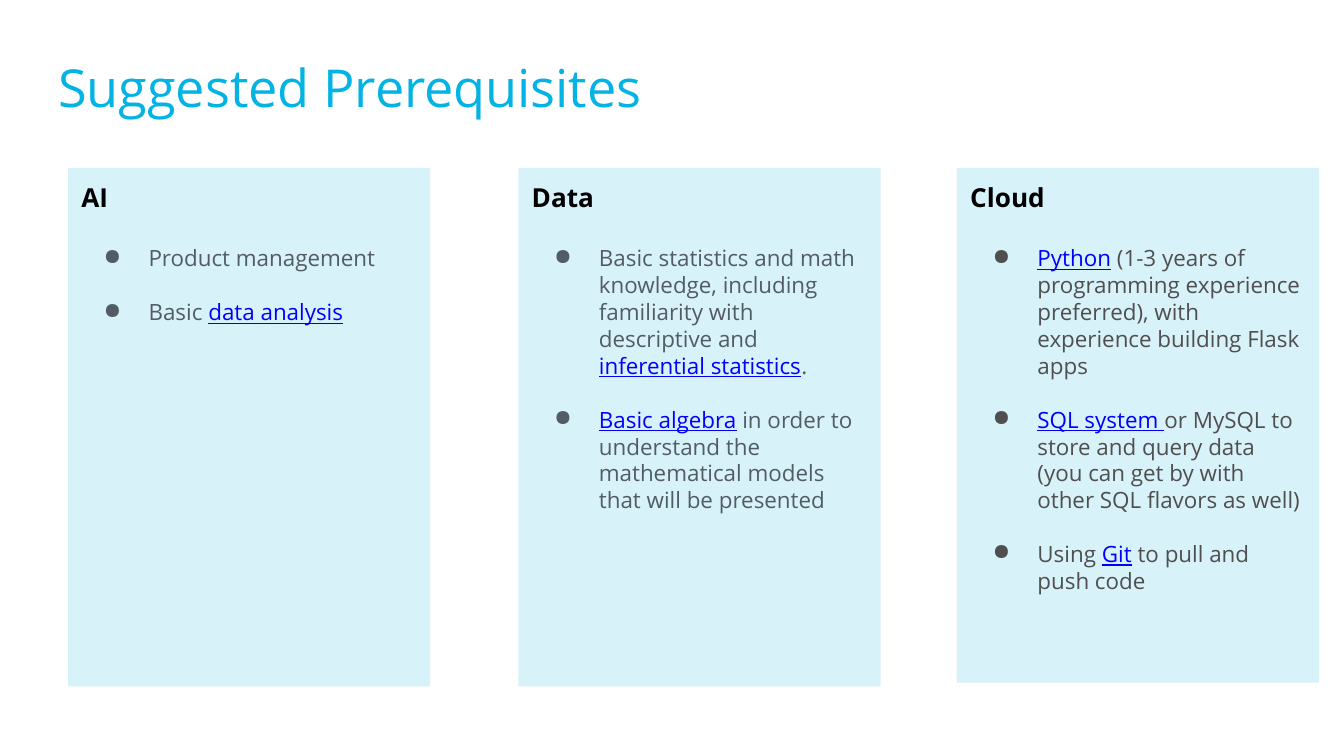
from lxml import etree
from pptx import Presentation
from pptx.dml.color import RGBColor
from pptx.enum.shapes import MSO_SHAPE
from pptx.enum.text import MSO_ANCHOR, PP_ALIGN
from pptx.oxml.ns import qn
from pptx.util import Pt

RECTANGLE = MSO_SHAPE.RECTANGLE
TOP = MSO_ANCHOR.TOP
LEFT = PP_ALIGN.LEFT

THEME = {
    "font": "Open Sans",
    "title": {"size": 28, "color": "02B3E4"},
    "heading": {"size": 14, "color": "000000", "bold": True},
    "slate": {"size": 12, "color": "525C65", "bold": False},
    "gray": {"size": 12, "color": "4F4F4F", "bold": False},
    "link": {"size": 12, "color": "0000FF", "bold": False, "underline": True},
    "card": "91DAEE",
    "card_opacity": 35,
}


def add_run(paragraph, text, style):
    run = paragraph.add_run()
    run.text = text
    values = {**THEME[style], "name": THEME["font"]}
    values["size"] = Pt(values["size"])
    run.font.color.rgb = RGBColor.from_string(values.pop("color"))
    for name, value in values.items():
        setattr(run.font, name, value)


def format_frame(frame):
    values = {"word_wrap": True, "vertical_anchor": TOP}
    for side in ("left", "right", "top", "bottom"):
        values[f"margin_{side}"] = Pt(7.2)
    for name, value in values.items():
        setattr(frame, name, value)


presentation = Presentation()
presentation.slide_width = Pt(720)
presentation.slide_height = Pt(405)
slide = presentation.slides.add_slide(presentation.slide_layouts[6])

# Title
title = slide.shapes.add_textbox(Pt(24), Pt(22.5), Pt(685), Pt(42.5))
format_frame(title.text_frame)
add_run(title.text_frame.paragraphs[0], "Suggested Prerequisites", "title")

# Cards: heading, left, height, body style, bullets as (text, is_link) runs
cards = [
    ("AI", 36.5, 277.7, "slate", [
        [("Product management", False)],
        [("Basic ", False), ("data analysis", True)],
    ]),
    ("Data", 277.8, 277.7, "slate", [
        [("Basic statistics and math knowledge, including familiarity with "
          "descriptive and ", False),
         ("inferential statistics", True), (".", False)],
        [("Basic algebra", True),
         (" in order to understand the mathematical models that will be "
          "presented", False)],
    ]),
    ("Cloud", 512.7, 275.7, "gray", [
        [("Python", True),
         (" (1-3 years of programming experience preferred), with experience "
          "building Flask apps", False)],
        [("SQL system ", True),
         ("or MySQL to store and query data (you can get by with other SQL "
          "flavors as well)", False)],
        [("Using ", False), ("Git", True), (" to pull and push code", False)],
    ]),
]

for heading, left, height, body_style, bullets in cards:
    card = slide.shapes.add_shape(RECTANGLE, Pt(left), Pt(90), Pt(194), Pt(height))
    card.shadow.inherit = False
    card.line.fill.background()
    card.fill.solid()
    card.fill.fore_color.rgb = RGBColor.from_string(THEME["card"])
    color = card.fill._xPr.find(f".//{qn('a:srgbClr')}")
    etree.SubElement(color, qn("a:alpha"), val=str(THEME["card_opacity"] * 1000))

    # Heading
    frame = card.text_frame
    format_frame(frame)
    frame.paragraphs[0].alignment = LEFT
    add_run(frame.paragraphs[0], heading, "heading")

    # Bullets, with a wider gap below the heading
    for index, runs in enumerate(bullets):
        paragraph = frame.add_paragraph()
        paragraph.alignment = LEFT
        paragraph.space_before = Pt(14.4 if index else 17)
        properties = paragraph._p.get_or_add_pPr()
        properties.set("marL", str(Pt(36)))
        properties.set("indent", str(Pt(-24)))
        bullet_color = etree.SubElement(properties, qn("a:buClr"))
        etree.SubElement(bullet_color, qn("a:srgbClr"), val=THEME[body_style]["color"])
        etree.SubElement(properties, qn("a:buChar"), char="●")
        for text, is_link in runs:
            add_run(paragraph, text, "link" if is_link else body_style)

presentation.save("out.pptx")
